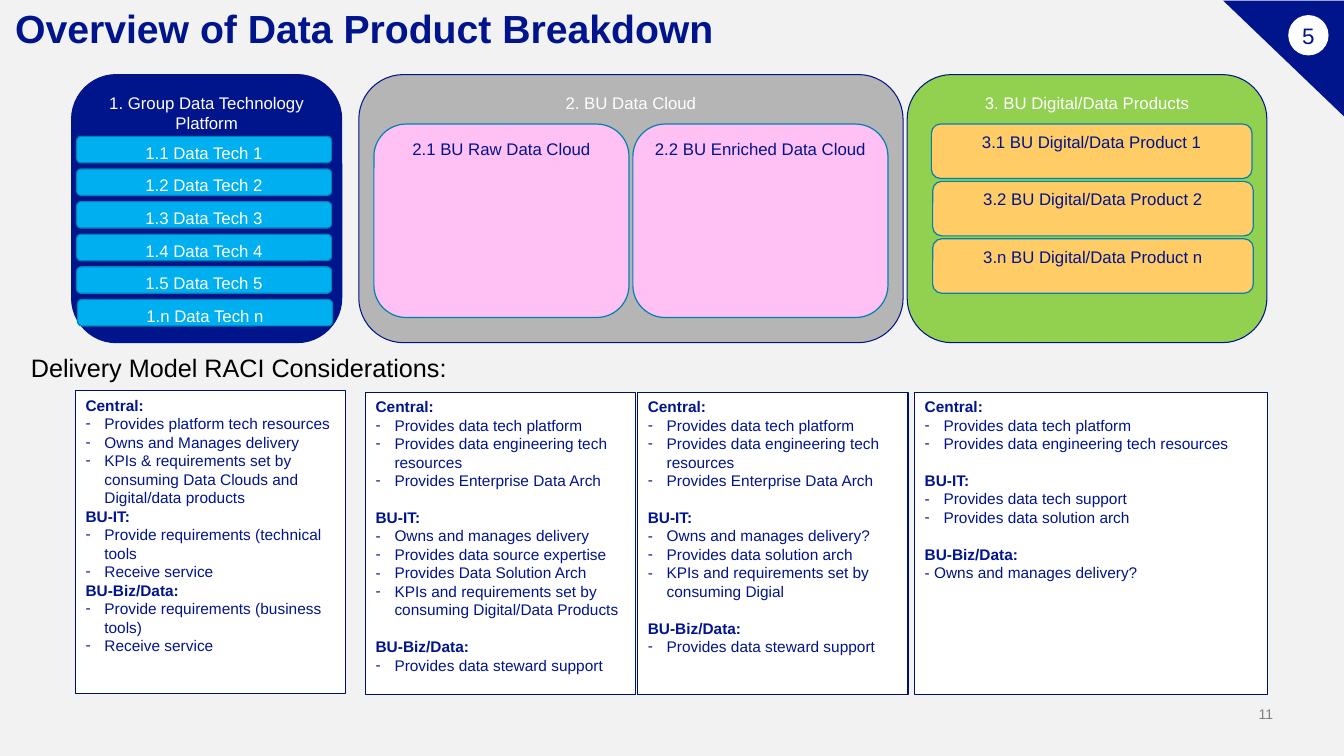
from lxml import etree
from pptx import Presentation
from pptx.dml.color import RGBColor
from pptx.enum.shapes import MSO_SHAPE
from pptx.enum.text import MSO_ANCHOR, PP_ALIGN
from pptx.oxml.ns import qn
from pptx.util import Pt

ROUNDED, RECTANGLE = MSO_SHAPE.ROUNDED_RECTANGLE, MSO_SHAPE.RECTANGLE
OVAL, TRIANGLE = MSO_SHAPE.OVAL, MSO_SHAPE.ISOSCELES_TRIANGLE
TOP, MIDDLE, BOTTOM = MSO_ANCHOR.TOP, MSO_ANCHOR.MIDDLE, MSO_ANCHOR.BOTTOM
LEFT, CENTER, RIGHT = PP_ALIGN.LEFT, PP_ALIGN.CENTER, PP_ALIGN.RIGHT

FONT = "Arial"
COLORS = {
    "background": "F2F2F2", "navy": "00148C", "outline": "000F69", "teal": "0081B2",
    "white": "FFFFFF", "black": "000000", "number": "808080", "gray": "B5B5B5",
    "pink": "FFC1F3", "green": "92D050", "orange": "FFCC66", "blue": "00AFF0",
}
PANEL_TOP, PANEL_HEIGHT = 53.3, 191.5
INNER_TOP = 88.6
BULLET_INDENT = 13.5
SECTION_GAP = 13

CLOUD_CENTRAL = ("Central:", [
    "Provides data tech platform", "Provides data engineering tech resources",
    "Provides Enterprise Data Arch"])
CLOUD_BUSINESS = ("BU-Biz/Data:", ["Provides data steward support"])
RACI_BOXES = [
    (54, 279.2, 193, 0, [
        ("Central:", ["Provides platform tech resources", "Owns and Manages delivery",
                      "KPIs & requirements set by consuming Data Clouds and Digital/data products"]),
        ("BU-IT:", ["Provide requirements (technical tools", "Receive service"]),
        ("BU-Biz/Data:", ["Provide requirements (business tools)", "Receive service"]),
    ]),
    (261.2, 280.3, 193, SECTION_GAP, [
        CLOUD_CENTRAL,
        ("BU-IT:", ["Owns and manages delivery", "Provides data source expertise",
                    "Provides Data Solution Arch",
                    "KPIs and requirements set by consuming Digital/Data Products"]),
        CLOUD_BUSINESS,
    ]),
    (455.6, 280.3, 193, SECTION_GAP, [
        CLOUD_CENTRAL,
        ("BU-IT:", ["Owns and manages delivery?", "Provides data solution arch",
                    "KPIs and requirements set by consuming Digial"]),
        CLOUD_BUSINESS,
    ]),
    (653.4, 280.3, 252, SECTION_GAP, [
        ("Central:", ["Provides data tech platform", "Provides data engineering tech resources"]),
        ("BU-IT:", ["Provides data tech support", "Provides data solution arch"]),
        ("BU-Biz/Data:", ["- Owns and manages delivery?"]),
    ]),
]


def rgb(name):
    """Return the named palette colour."""
    return RGBColor.from_string(COLORS[name])


def add_run(paragraph, text, size, color, bold=False):
    """Append one formatted run to a paragraph."""
    run = paragraph.add_run()
    run.text = text
    run.font.name = FONT
    run.font.size = Pt(size)
    run.font.bold = bold
    run.font.color.rgb = rgb(color)


def set_frame(shape, anchor, margins=True):
    """Wrap and anchor the text of a shape, and return its frame."""
    frame = shape.text_frame
    frame.word_wrap = True
    frame.vertical_anchor = anchor
    if not margins:
        frame.margin_left = frame.margin_right = Pt(0)
        frame.margin_top = frame.margin_bottom = Pt(0)
    return frame


def add_text(slide, box, text, size, color, align, anchor, margins=True, bold=False):
    """Add a one-paragraph text box."""
    shape = slide.shapes.add_textbox(*map(Pt, box))
    paragraph = set_frame(shape, anchor, margins).paragraphs[0]
    paragraph.alignment = align
    add_run(paragraph, text, size, color, bold)
    return paragraph


def add_block(slide, kind, box, fill, line=None, width=0.85):
    """Add a filled preset shape with an optional outline."""
    shape = slide.shapes.add_shape(kind, *map(Pt, box))
    shape.shadow.inherit = False
    shape.fill.solid()
    shape.fill.fore_color.rgb = rgb(fill)
    if line:
        shape.line.color.rgb = rgb(line)
        shape.line.width = Pt(width)
    else:
        shape.line.fill.background()
    return shape


def add_card(slide, box, text, fill, color, line="teal", width=0.85):
    """Add a rounded card with a centred caption at its top."""
    shape = add_block(slide, ROUNDED, box, fill, line, width)
    paragraph = set_frame(shape, TOP).paragraphs[0]
    paragraph.alignment = CENTER
    add_run(paragraph, text, 12, color)


def add_dash_bullet(paragraph):
    """Give a paragraph a hanging dash bullet."""
    properties = paragraph._p.get_or_add_pPr()
    properties.set("marL", str(Pt(BULLET_INDENT)))
    properties.set("indent", str(-Pt(BULLET_INDENT)))
    etree.SubElement(properties, qn("a:buFont")).set("typeface", FONT)
    etree.SubElement(properties, qn("a:buChar")).set("char", "-")


def add_raci_box(slide, left, top, width, gap, sections):
    """Add a box of headed duty lists."""
    shape = add_block(slide, RECTANGLE, (left, top, width, 216), "white", "outline")
    frame = set_frame(shape, TOP)
    for index, (heading, duties) in enumerate(sections):
        paragraph = frame.add_paragraph() if index else frame.paragraphs[0]
        paragraph.alignment = LEFT
        if index and gap:
            paragraph.space_before = Pt(gap)
        add_run(paragraph, heading, 11, "navy", bold=True)
        for duty in duties:
            paragraph = frame.add_paragraph()
            paragraph.alignment = LEFT
            if not duty.startswith("- "):
                add_dash_bullet(paragraph)
            add_run(paragraph, duty, 11, "navy")


def add_corner(slide):
    """Add the corner triangle and its numbered badge."""
    triangle = add_block(slide, TRIANGLE, (875.5, -1.4, 82.8, 86.4), "navy")
    triangle.adjustments[0] = 1
    triangle.rotation = 270
    badge = add_block(slide, OVAL, (920.2, 10.8, 28.8, 28.8), "white")
    paragraph = set_frame(badge, MIDDLE, margins=False).paragraphs[0]
    paragraph.alignment = CENTER
    add_run(paragraph, "5", 16, "navy")


def add_panels(slide):
    """Add the three product panels and the cards inside them."""
    panels = [
        (51.1, 193, "1. Group Data Technology Platform", "navy"),
        (256.3, 388.8, "2. BU Data Cloud", "gray"),
        (648, 257, "3. BU Digital/Data Products", "green"),
    ]
    for left, width, text, fill in panels:
        add_card(slide, (left, PANEL_TOP, width, PANEL_HEIGHT), text, fill, "white", "navy", 0.75)
    for index, name in enumerate(("Raw", "Enriched")):
        box = (267.1 + index * 185, INNER_TOP, 182.2, 138.2)
        add_card(slide, box, f"2.{index + 1} BU {name} Data Cloud", "pink", "navy")
    for index, number in enumerate("12n"):
        box = (665.3 if index == 0 else 666.2, INNER_TOP + index * 41, 229, 38.9)
        add_card(slide, box, f"3.{number} BU Digital/Data Product {number}", "orange", "navy")
    for index, number in enumerate("12345n"):
        box = (55.4 if number == "n" else 54.7, 97.4 + index * 23.3, 182.2, 18.9)
        add_card(slide, box, f"1.{number} Data Tech {number}", "blue", "white")


def main():
    """Build and save the slide."""
    presentation = Presentation()
    presentation.slide_width, presentation.slide_height = Pt(960), Pt(540)
    slide = presentation.slides.add_slide(presentation.slide_layouts[6])
    slide.background.fill.solid()
    slide.background.fill.fore_color.rgb = rgb("background")
    add_text(slide, (879.1, 504, 30.2, 12.2), "11", 10, "number", RIGHT, BOTTOM, margins=False)
    title = add_text(slide, (10.8, 7.2, 861, 30.2), "Overview of Data Product Breakdown",
                     28, "navy", LEFT, TOP, margins=False, bold=True)
    title.line_spacing = 0.9
    add_corner(slide)
    add_panels(slide)
    add_text(slide, (11.5, 239.8, 318.2, 45.4), "Delivery Model RACI Considerations:",
             18, "black", CENTER, MIDDLE)
    for raci_box in RACI_BOXES:
        add_raci_box(slide, *raci_box)
    presentation.save("out.pptx")


if __name__ == "__main__":
    main()
